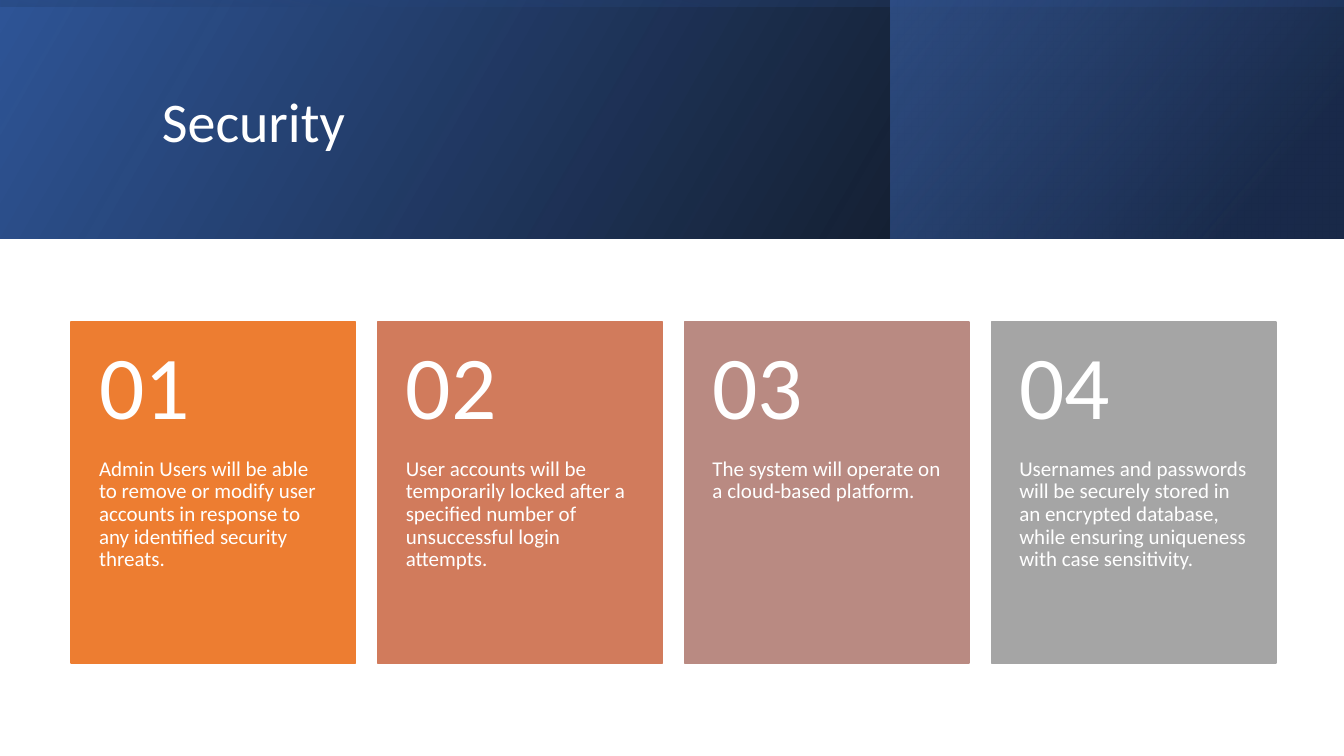
from lxml import etree
from pptx import Presentation
from pptx.dml.color import RGBColor
from pptx.enum.shapes import MSO_SHAPE
from pptx.enum.text import MSO_ANCHOR
from pptx.oxml.ns import qn
from pptx.util import Pt

RECT = MSO_SHAPE.RECTANGLE
TOP = MSO_ANCHOR.TOP
MIDDLE = MSO_ANCHOR.MIDDLE
PX = 914400 / 100.8
FONT = "Calibri"
WHITE = RGBColor(0xFF, 0xFF, 0xFF)
BLACK = RGBColor(0x00, 0x00, 0x00)
NAVY = RGBColor(0x20, 0x38, 0x64)
BLUE = RGBColor(0x2F, 0x55, 0x97)
SKY = RGBColor(0x44, 0x72, 0xC4)
ORANGE = RGBColor(0xED, 0x7D, 0x31)
CORAL = RGBColor(0xD1, 0x7B, 0x5C)
ROSE = RGBColor(0xB9, 0x8A, 0x82)
GRAY = RGBColor(0xA5, 0xA5, 0xA5)

CARDS = [
    (ORANGE, "Admin Users will be able to remove or modify user accounts "
             "in response to any identified security threats."),
    (CORAL, "User accounts will be temporarily locked after a specified "
            "number of unsuccessful login attempts."),
    (ROSE, "The system will operate on a cloud-based platform."),
    (GRAY, "Usernames and passwords will be securely stored in an encrypted "
           "database, while ensuring uniqueness with case sensitivity."),
]


def emu(*sizes):
    return [round(size * PX) for size in sizes]


def add_rect(slide, box):
    shape = slide.shapes.add_shape(RECT, *emu(*box))
    shape.shadow.inherit = False
    return shape


def add_text(slide, box, text, size, anchor, pads):
    frame = slide.shapes.add_textbox(*emu(*box)).text_frame
    frame.word_wrap = True
    frame.vertical_anchor = anchor
    (frame.margin_left, frame.margin_top,
     frame.margin_right, frame.margin_bottom) = emu(*pads)
    frame.text = text
    para = frame.paragraphs[0]
    para.line_spacing = 0.9
    font = para.runs[0].font
    font.name = FONT
    font.size = Pt(size)
    font.color.rgb = WHITE


def add_blend(slide, box, stops, angle, turn=0):
    shape = add_rect(slide, box)
    shape.rotation = turn
    shape.line.fill.background()
    props = shape._element.spPr
    props.find(qn("a:xfrm")).set("flipH", "1")
    grad = etree.Element(qn("a:gradFill"), rotWithShape="1")
    marks = etree.SubElement(grad, qn("a:gsLst"))
    for place, color, alpha in stops:
        mark = etree.SubElement(marks, qn("a:gs"), pos=str(place * 1000))
        tint = etree.SubElement(mark, qn("a:srgbClr"), val=str(color))
        etree.SubElement(tint, qn("a:alpha"), val=str(alpha * 1000))
    etree.SubElement(grad, qn("a:lin"), ang=str(angle * 60000), scaled="0")
    props.find(qn("a:prstGeom")).addnext(grad)


def add_header(slide, box, title):
    left, top, width, height = box
    add_blend(slide, box, [(0, BLACK, 96), (100, BLUE, 100)], 330)
    add_blend(slide, (left + 891, top, width - 892, height),
              [(19, NAVY, 68), (100, SKY, 48)], 320)
    shift = (width - height) / 2
    add_blend(slide, (left + shift, top - shift, height, width),
              [(23, BLUE, 16), (99, BLACK, 45)], 350, 270)
    add_text(slide, (left + 152, top + 38, 1072, 173), title, 40, MIDDLE,
             (10, 5, 10, 5))


def add_card(slide, box, number, color, text):
    left, top, width, height = box
    head = 136
    card = add_rect(slide, box)
    card.fill.solid()
    card.fill.fore_color.rgb = color
    card.line.color.rgb = color
    card.line.width = Pt(1)
    add_text(slide, (left, top + head, width, height - head), text, 15, TOP,
             (28, 0, 28, 36))
    add_text(slide, (left, top, width, head), f"{number:02}", 64, MIDDLE,
             (28, 18, 28, 18))


def add_cards(slide, box):
    left, top, width, height = box
    gap = 22
    count = len(CARDS)
    wide = (width - gap * (count - 1)) / count
    for index, (color, text) in enumerate(CARDS):
        place = (left + index * (wide + gap), top, wide, height)
        add_card(slide, place, index + 1, color, text)


def main():
    deck = Presentation()
    deck.slide_width, deck.slide_height = emu(1344, 756)
    slide = deck.slides.add_slide(deck.slide_layouts[6])
    add_header(slide, (0, 0, 1344, 239), "Security")
    add_cards(slide, (71, 322, 1205, 341))
    deck.save("out.pptx")


if __name__ == "__main__":
    main()
